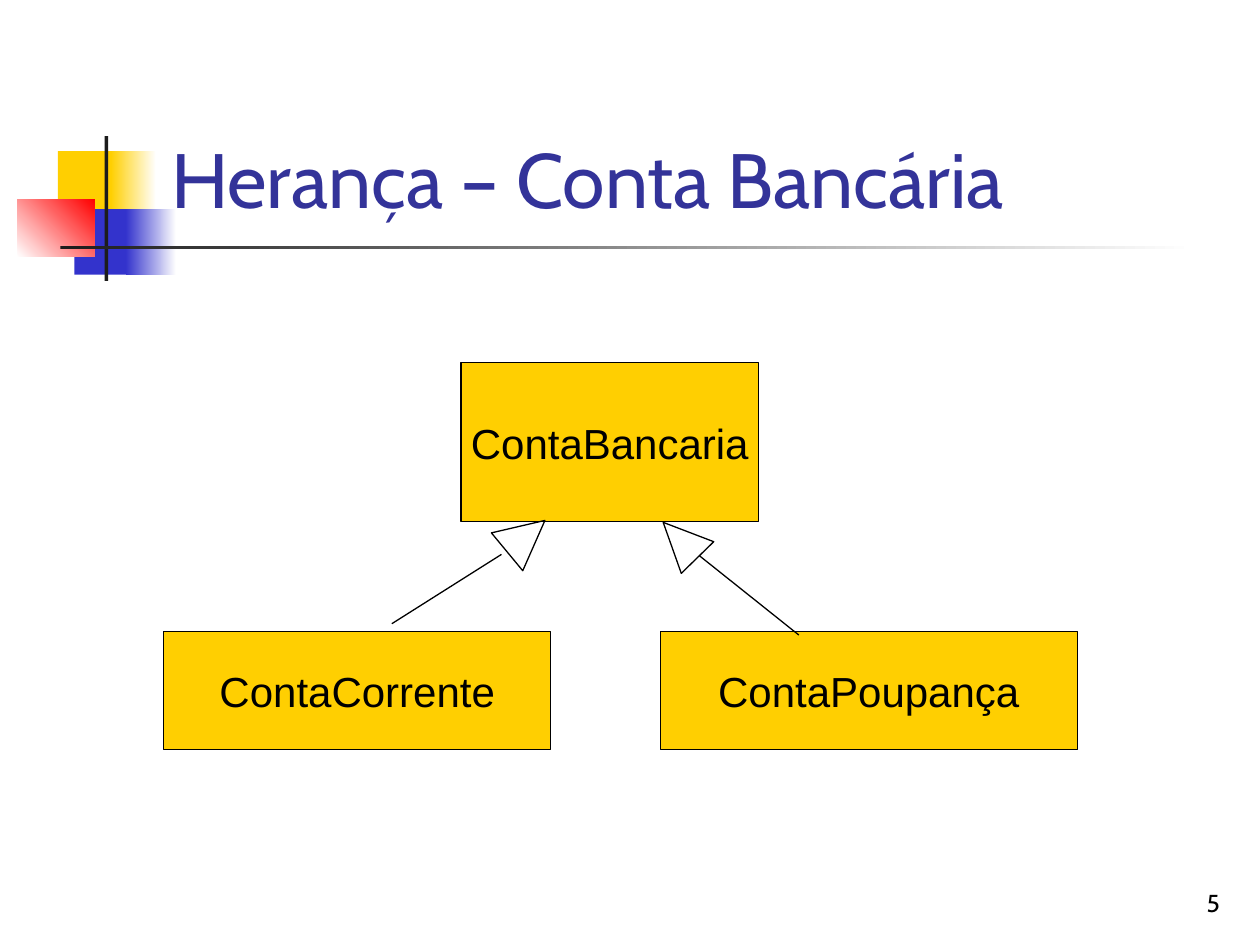
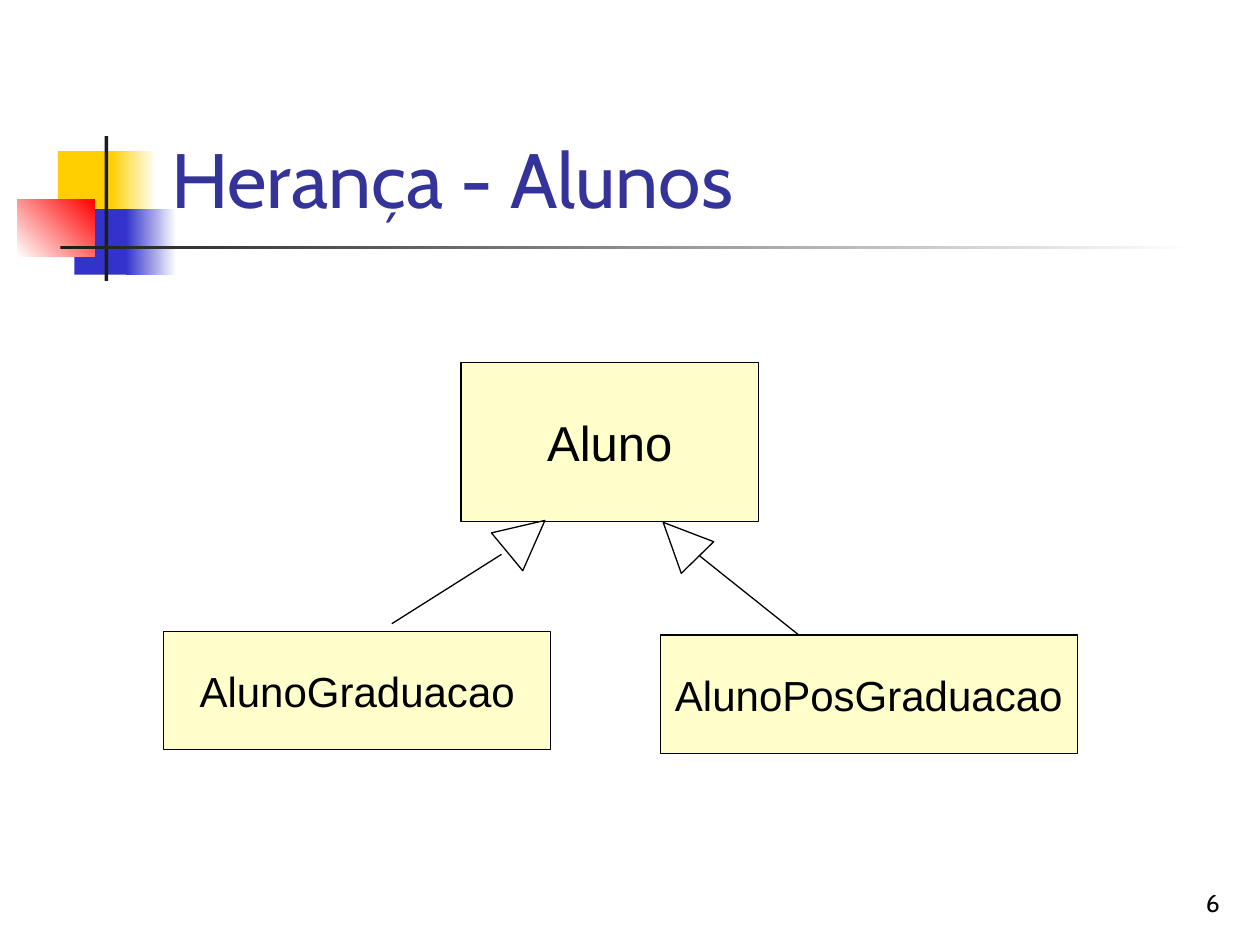
"""Build two slides that show class inheritance as UML diagrams."""
from lxml import etree
from pptx import Presentation, util as u
from pptx.dml.color import RGBColor
from pptx.enum import shapes, text
from pptx.oxml.ns import qn

PX = u.Inches(1) // 100

THEME = {
    "colour": {
        "gold": "FFCF01", "cream": "FFFFCC", "blue": "3333CC", "red": "FF0000",
        "charcoal": "1C1C1C", "white": "FFFFFF", "black": "000000", "title": "333399",
    },
    "font": {
        "title": {"size": u.Pt(44), "name": "Cabin"},
        "number": {"size": u.Pt(14), "name": "Cabin"},
        "class": {"size": u.Pt(24), "name": "Arial"},
        "short_class": {"size": u.Pt(28), "name": "Arial"},
    },
    "line": u.Pt(0.75),
}

MOTIF = [
    ((46, 120, 48, 52), ["gold"], 0),
    ((88, 120, 36, 52), ["gold", "white"], 0),
    ((59, 166, 46, 52), ["blue"], 0),
    ((100, 166, 40, 52), ["blue", "white"], 0),
    ((14, 158, 61, 46), ["white", "red"], 45),
    ((83, 108, 3, 115), ["charcoal"], 0),
    ((48, 195, 900, 3), ["charcoal", "white"], 0),
]

PARENT = (366, 288, 236, 126)
LEFT_CHILD = (130, 501, 307, 94)
RIGHT_CHILD = (524, 501, 331, 94)
LOWER_RIGHT_CHILD = (524, 504, 331, 94)

INHERITANCE = [
    ((398, 440), (311, 495), (398, 406, 39, 39), 50.4),
    ((555, 441), (634, 504), (522, 409, 36, 39), 315.7),
]

DIAGRAMS = [
    (5, "Herança – Conta Bancária", "gold", [
        ("ContaBancaria", PARENT, "class"),
        ("ContaCorrente", LEFT_CHILD, "class"),
        ("ContaPoupança", RIGHT_CHILD, "class"),
    ]),
    (6, "Herança - Alunos", "cream", [
        ("Aluno", PARENT, "short_class"),
        ("AlunoGraduacao", LEFT_CHILD, "class"),
        ("AlunoPosGraduacao", LOWER_RIGHT_CHILD, "class"),
    ]),
]


def emu(lengths):
    return [length * PX for length in lengths]


def apply(target, values):
    for key, value in values.items():
        setattr(target, key, value)


class Deck:
    def __init__(self, theme):
        self.theme = theme
        self.prs = Presentation()
        apply(self.prs, {"slide_width": 1000 * PX, "slide_height": 750 * PX})
        self.slide = None

    def rgb(self, name):
        return RGBColor.from_string(self.theme["colour"][name])

    def start_slide(self):
        self.slide = self.prs.slides.add_slide(self.prs.slide_layouts[6])

    def outline(self, line):
        line.color.rgb = self.rgb("black")
        line.width = self.theme["line"]

    def set_text(self, frame, words, style, colour, align, anchor, wrap):
        apply(frame, {"word_wrap": wrap, "vertical_anchor": anchor, "text": words})
        paragraph = frame.paragraphs[0]
        paragraph.alignment = align
        apply(paragraph.font, self.theme["font"][style])
        paragraph.font.color.rgb = self.rgb(colour)

    def label(self, place, words, style, colour, align):
        box = self.slide.shapes.add_textbox(*emu(place))
        self.set_text(box.text_frame, words, style, colour, align,
                      text.MSO_ANCHOR.BOTTOM, True)

    def preset(self, kind, place):
        shape = self.slide.shapes.add_shape(kind, *emu(place))
        shape.shadow.inherit = False
        return shape

    def block(self, place, colours, angle=0):
        block = self.preset(shapes.MSO_SHAPE.RECTANGLE, place)
        block.line.fill.background()
        if len(colours) == 1:
            block.fill.solid()
            block.fill.fore_color.rgb = self.rgb(colours[0])
            return block
        block.fill.gradient()
        block.fill.gradient_angle = angle
        for stop, colour in zip(block.fill.gradient_stops, colours):
            stop.color.rgb = self.rgb(colour)
        return block

    def class_box(self, name, place, style, colour):
        box = self.block(place, [colour])
        self.outline(box.line)
        self.set_text(box.text_frame, name, style, "black", text.PP_ALIGN.CENTER,
                      text.MSO_ANCHOR.MIDDLE, False)

    def inheritance(self, start, end, head_place, rotation):
        stem = self.slide.shapes.add_connector(
            shapes.MSO_CONNECTOR.STRAIGHT, *emu(start + end))
        self.outline(stem.line)
        etree.SubElement(stem._element.spPr, qn("a:effectLst"))
        head = self.preset(shapes.MSO_SHAPE.ISOSCELES_TRIANGLE, head_place)
        head.rotation = rotation
        head.fill.background()
        self.outline(head.line)

    def frame(self, number, title):
        for place, colours, angle in MOTIF:
            self.block(place, colours, angle)
        self.label((770, 683, 208, 50), str(number), "number", "black",
                   text.PP_ALIGN.RIGHT)
        self.label((126, 23, 852, 160), title, "title", "title", text.PP_ALIGN.LEFT)


def main():
    deck = Deck(THEME)
    for number, title, colour, classes in DIAGRAMS:
        deck.start_slide()
        deck.frame(number, title)
        for name, place, style in classes:
            deck.class_box(name, place, style, colour)
        for arrow in INHERITANCE:
            deck.inheritance(*arrow)
    deck.prs.save("out.pptx")


if __name__ == "__main__":
    main()
